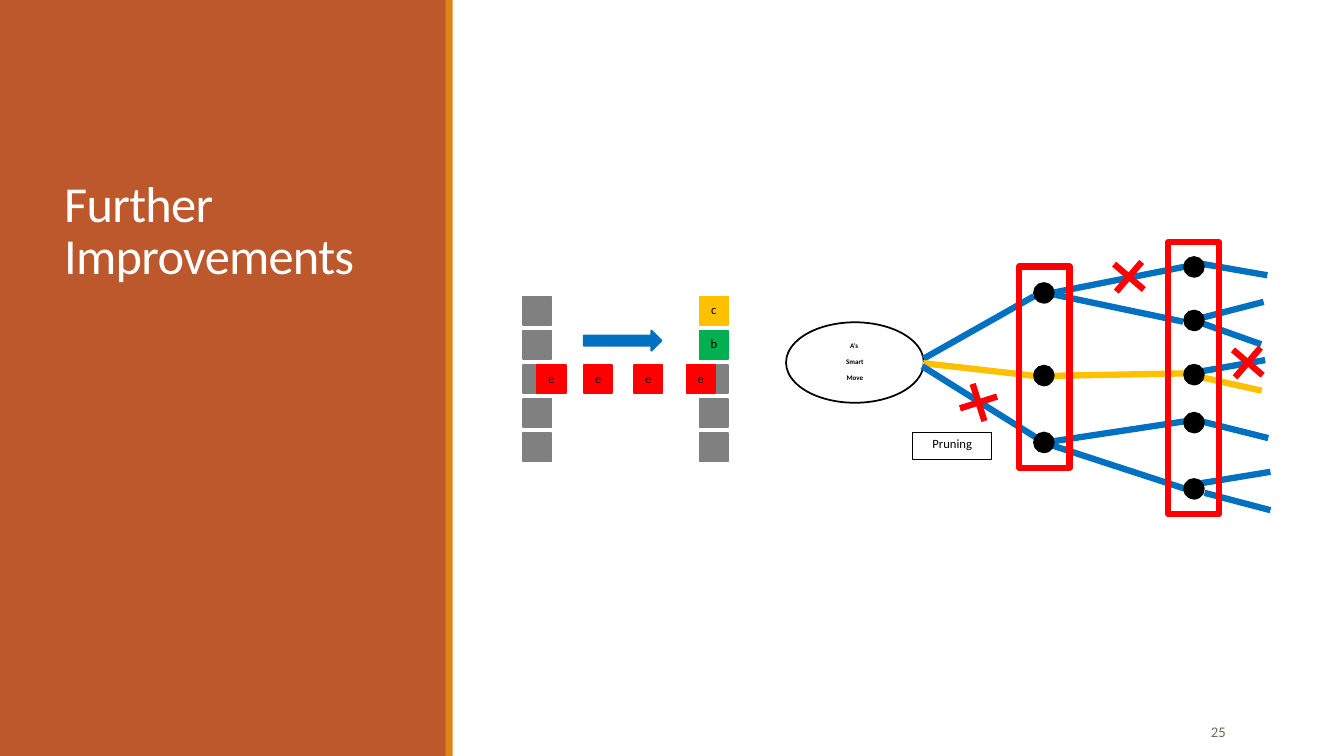
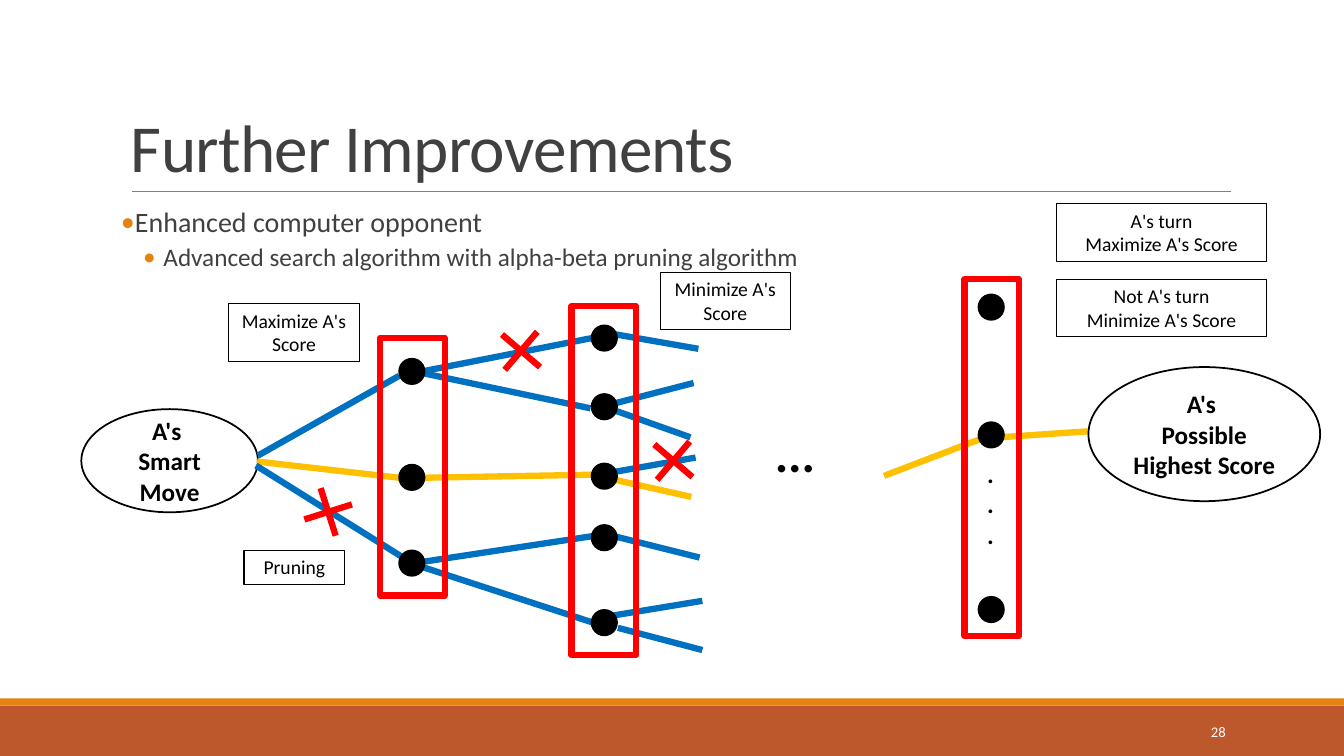
from lxml.etree import SubElement
from pptx import Presentation
from pptx.dml.color import RGBColor
from pptx.enum.shapes import MSO_CONNECTOR, MSO_SHAPE as Preset
from pptx.enum.text import MSO_ANCHOR as Anchor, PP_ALIGN as Align
from pptx.oxml.ns import qn
from pptx.util import Cm, Pt

FONT = "Calibri"
RUST, ORANGE, DARK, GRAY = "BD582C", "E48312", "404040", "808080"
BLUE, YELLOW, GREEN, RED = "0070C0", "FFC000", "00B050", "FF0000"
BLACK, WHITE = "000000", "FFFFFF"


def add_box(page, preset, place, fill=None, line=None, weight=1.25, lines=(),
            size=18, color=BLACK, bold=False, align=Align.CENTER,
            anchor=Anchor.MIDDLE, spacing=1.0, after=0, tracking=0):
    """Add a preset shape, or a text box if preset is None; place is in cm."""
    place = [Cm(length) for length in place]
    if preset is None:
        box = page.shapes.add_textbox(*place)
    else:
        box = page.shapes.add_shape(preset, *place)
        box.shadow.inherit = False
        for paint, tint in ((box.fill, fill), (box.line.fill, line)):
            if tint:
                paint.solid()
                paint.fore_color.rgb = RGBColor.from_string(tint)
            else:
                paint.background()
        if line:
            box.line.width = Pt(weight)
    frame = box.text_frame
    frame.word_wrap = True
    frame.vertical_anchor = anchor
    for index, text in enumerate(lines):
        para = frame.add_paragraph() if index else frame.paragraphs[0]
        span = para.add_run()
        span.text = text
        if tracking:
            span._r.get_or_add_rPr().set("spc", str(tracking))
        para.alignment = align
        para.line_spacing = spacing
        para.space_after = Pt(after)
        para.font.name, para.font.size, para.font.bold = FONT, Pt(size), bold
        para.font.color.rgb = RGBColor.from_string(color)
    return box


def add_line(page, x1, y1, x2, y2, color, weight=4.5):
    line = page.shapes.add_connector(
        MSO_CONNECTOR.STRAIGHT, Cm(x1), Cm(y1), Cm(x2), Cm(y2))
    line.line.color.rgb = RGBColor.from_string(color)
    line.line.width = Pt(weight)
    SubElement(line._element.spPr, qn("a:effectLst"))


deck = Presentation()
deck.slide_width, deck.slide_height = Cm(33.87), Cm(19.05)
blank = deck.slide_layouts[6]
moves_page = deck.slides.add_slide(blank)
search_page = deck.slides.add_slide(blank)

# Bands, title and page number
frames = [
    (moves_page, (0, 0, 11.25, 19.05), (11.23, 0, 0.18, 19.05),
     (1.37, 1.45, 8.56, 5.84), 36, WHITE, "25", "637052"),
    (search_page, (0, 17.78, 33.87, 1.27), (0, 17.6, 33.87, 0.18),
     (3.05, 0.79, 27.94, 4.04), 48, DARK, "28", WHITE),
]
for page, band, stripe, title, size, color, number, number_color in frames:
    add_box(page, Preset.RECTANGLE, band, RUST)
    add_box(page, Preset.RECTANGLE, stripe, ORANGE)
    add_box(page, None, title, lines=["Further Improvements"], size=size,
            color=color, align=Align.LEFT, anchor=Anchor.BOTTOM,
            spacing=0.85, tracking=-50)
    add_box(page, None, (27.51, 17.93, 3.63, 1.02), lines=[number], size=10.5,
            color=number_color, align=Align.RIGHT)

# Sliding blocks
BLOCK, PITCH, BLOCK_TOP = 0.72, 0.86, 7.47
blocks = [(left, row, GRAY, "") for left in (13.18, 17.63) for row in range(5)]
blocks[5:7] = [(17.63, 0, YELLOW, "c"), (17.63, 1, GREEN, "b")]
blocks += [(left, 2, RED, "e") for left in (13.54, 14.71, 15.98, 17.3)]
for left, row, color, letter in blocks:
    add_box(moves_page, Preset.RECTANGLE,
            (left, BLOCK_TOP + row * PITCH, BLOCK, BLOCK), color, color,
            lines=[letter] if letter else [], size=9, spacing=0.9)
add_box(moves_page, Preset.RIGHT_ARROW, (14.71, 8.33, 1.96, 0.51), BLUE, BLUE)

# Rule and bullets of the search page
add_line(search_page, 3.33, 4.83, 31.01, 4.83, GRAY, 0.5)
body = add_box(search_page, None, (3.05, 5.13, 27.94, 11.18), anchor=Anchor.TOP)
body.text_frame.margin_left = body.text_frame.margin_right = 0
bullets = [
    ("Enhanced computer opponent", 20, 0.25, 0.25, 0, 2),
    ("Advanced search algorithm with alpha-beta pruning algorithm",
     18, 1.07, 0.51, 2, 4),
]
for level, (text, size, margin, hanging, before, after) in enumerate(bullets):
    para = (body.text_frame.add_paragraph() if level
            else body.text_frame.paragraphs[0])
    para.text, para.level, para.line_spacing = text, level, 0.9
    para.space_before, para.space_after = Pt(before), Pt(after)
    props = para._p.get_or_add_pPr()
    props.set("marL", str(Cm(margin)))
    props.set("indent", str(-Cm(hanging)))
    SubElement(SubElement(props, qn("a:buClr")), qn("a:srgbClr"), val=ORANGE)
    SubElement(props, qn("a:buFont"), typeface=FONT)
    SubElement(props, qn("a:buChar"), char="•")
    para.font.name, para.font.size = FONT, Pt(size)
    para.font.color.rgb = RGBColor.from_string(DARK)

# Game tree, in cm on the search page; the moves page shows it smaller
NODE = 0.64
edges = [
    (6.5, 11.48, 10.06, 9.47, BLUE),
    (6.48, 11.63, 10.08, 12.04, YELLOW),
    (6.45, 11.73, 10.16, 14.05, BLUE),
    (10.59, 9.37, 14.96, 8.51, BLUE),
    (10.64, 9.4, 14.88, 10.29, BLUE),
    (10.59, 12.04, 15.04, 11.96, YELLOW),
    (10.57, 14.17, 15.06, 13.49, BLUE),
    (10.59, 14.27, 15.04, 15.72, BLUE),
    (15.42, 8.41, 17.6, 8.79, BLUE),
    (15.39, 10.19, 17.48, 9.65, BLUE),
    (15.54, 10.36, 17.4, 11.02, BLUE),
    (15.49, 11.89, 17.53, 11.53, BLUE),
    (15.49, 12.09, 17.42, 12.52, YELLOW),
    (15.39, 13.49, 17.63, 14.05, BLUE),
    (15.39, 15.52, 17.7, 15.14, BLUE),
    (15.57, 15.82, 17.7, 16.38, BLUE),
]
levels = [
    (10.06, (9.04, 11.71, 13.87), (9.58, 8.51, 1.63, 6.5)),
    (14.91, (8.2, 9.93, 11.68, 13.23, 15.37), (14.4, 7.72, 1.63, 8.79)),
]
last_level = (24.66, (7.42, 10.64, 15.04), (24.31, 7.04, 1.37, 8.99))
last_edges = [
    (27.41, 10.87, 25.17, 11.02, YELLOW),
    (24.74, 11.05, 22.28, 11.99, YELLOW),
]
crosses = [(8.27, 12.9, 0.19, 0.6), (13.13, 8.84, 0.48, 0.41),
           (16.97, 11.61, 0.48, 0.41)]
trees = [
    (moves_page, 0.78, 18.21, 0.08, edges, levels, 5, 9, 0.9, 6),
    (search_page, 1, 0, 0, edges + last_edges, levels + [last_level],
     18, 14, 1.0, 0),
]
for (page, scale, dx, dy, tree_edges, tree_levels,
     root_size, label_size, spacing, after) in trees:
    add_box(page, Preset.OVAL,
            (2.05 * scale + dx, 10.31 * scale + dy, 4.45 * scale, 2.6 * scale),
            WHITE, BLACK, lines=["A's ", "Smart", "Move"], size=root_size,
            bold=True, spacing=spacing, after=after)
    for x1, y1, x2, y2, color in tree_edges:
        add_line(page, x1 * scale + dx, y1 * scale + dy,
                 x2 * scale + dx, y2 * scale + dy, color)
    for node_left, node_tops, (left, top, width, height) in tree_levels:
        for node_top in node_tops:
            add_box(page, Preset.OVAL,
                    (node_left * scale + dx, node_top * scale + dy,
                     NODE * scale, NODE * scale), BLACK, BLACK)
        add_box(page, Preset.RECTANGLE,
                (left * scale + dx, top * scale + dy,
                 width * scale, height * scale), line=RED, weight=4.5)
    for x, y, across, down in crosses:
        for arm_x, arm_y in ((across, down), (down, -across)):
            add_line(page, (x - arm_x) * scale + dx, (y - arm_y) * scale + dy,
                     (x + arm_x) * scale + dx, (y + arm_y) * scale + dy, RED)
    add_box(page, Preset.RECTANGLE,
            (6.15 * scale + dx, 13.87 * scale + dy, 2.54 * scale, 0.86 * scale),
            WHITE, BLACK, 0.75, ["Pruning"], label_size, anchor=Anchor.TOP,
            spacing=spacing)

# Goal, gaps and labels of the search page
add_box(search_page, Preset.OVAL, (27.43, 9.25, 5.84, 3.38), WHITE, BLACK,
        lines=["A's ", "Possible", "Highest Score"], bold=True)
add_box(search_page, None, (18.08, 10.52, 3.91, 1.8), lines=["..."], size=36,
        bold=True, anchor=Anchor.TOP)
add_box(search_page, None, (24, 11.43, 1.93, 2.62), lines=[".", ".", "."],
        bold=True, anchor=Anchor.TOP)
labels = [
    (5.77, 7.65, 3.28, "Maximize A's", "Score"),
    (16.64, 6.86, 3.28, "Minimize A's", "Score"),
    (26.62, 5.13, 5.31, "A's turn", "Maximize A's Score"),
    (26.62, 7.04, 5.31, "Not A's turn", "Minimize A's Score"),
]
for left, top, width, *lines in labels:
    add_box(search_page, Preset.RECTANGLE, (left, top, width, 1.45), WHITE,
            BLACK, 0.75, lines, 14, anchor=Anchor.TOP)

deck.save("out.pptx")
